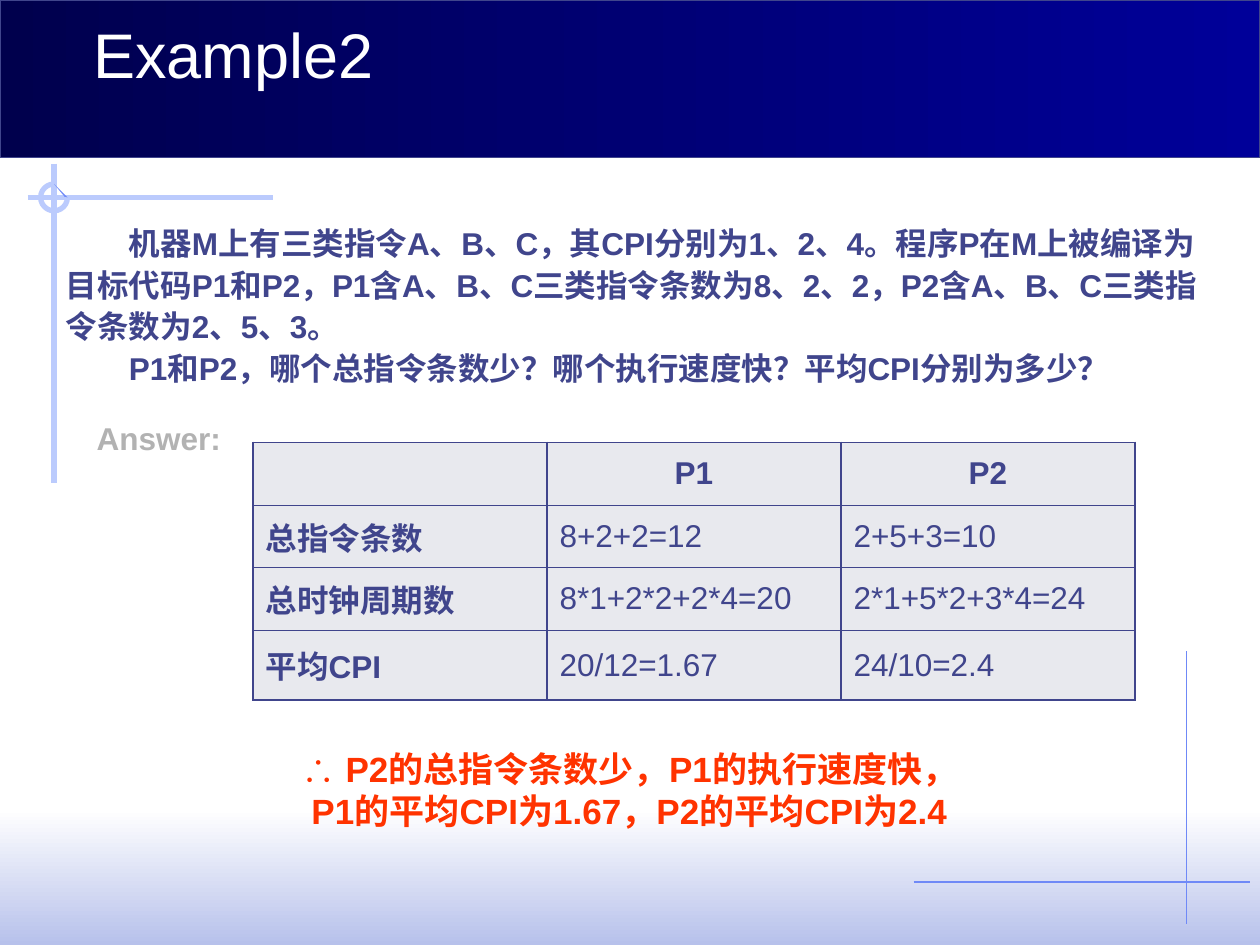
from lxml import etree
from pptx import Presentation
from pptx.dml.color import RGBColor
from pptx.enum.shapes import MSO_CONNECTOR, MSO_SHAPE
from pptx.enum.text import MSO_ANCHOR, PP_ALIGN
from pptx.oxml.ns import qn
from pptx.util import Cm, Pt

LEFT, CENTER = PP_ALIGN.LEFT, PP_ALIGN.CENTER
MIDDLE = MSO_ANCHOR.MIDDLE
STRAIGHT = MSO_CONNECTOR.STRAIGHT
RECTANGLE, ARC = MSO_SHAPE.RECTANGLE, MSO_SHAPE.ARC

SLIDE_W, SLIDE_H = 25.4, 19.05
NAVY, PALE_BLUE, BLUE = "40458C", "BBCBFD", "6F89F7"
WHITE, GREY, RED, CELL_GREY = "FFFFFF", "B2B2B2", "FF3300", "E8E9EE"

QUESTION = [
    "机器M上有三类指令A、B、C，其CPI分别为1、2、4。程序P在M上被编译为目标代码P1和P2，"
    "P1含A、B、C三类指令条数为8、2、2，P2含A、B、C三类指令条数为2、5、3。",
    "P1和P2，哪个总指令条数少？哪个执行速度快？平均CPI分别为多少？",
]
CONCLUSION = ["∴ P2的总指令条数少，P1的执行速度快，\vP1的平均CPI为1.67，P2的平均CPI为2.4"]
COMPARISON = [
    ["", "P1", "P2"],
    ["总指令条数", "8+2+2=12", "2+5+3=10"],
    ["总时钟周期数", "8*1+2*2+2*4=20", "2*1+5*2+3*4=24"],
    ["平均CPI", "20/12=1.67", "24/10=2.4"],
]
ROW_HEIGHTS = [1.27, 1.25, 1.27, 1.4]


def rgb(color):
    return RGBColor.from_string(color)


def write(frame, paragraphs, size=18, color=NAVY, bold=True, align=LEFT,
          indent=0, spacing=None):
    """Fill a text frame; a vertical tab in a paragraph breaks the line."""
    frame.word_wrap = True
    for i, text in enumerate(paragraphs):
        paragraph = frame.paragraphs[0] if i == 0 else frame.add_paragraph()
        paragraph.text = text
        paragraph.alignment = align
        paragraph.line_spacing = spacing
        if indent:
            paragraph._p.get_or_add_pPr().set("indent", str(Cm(indent)))
        for run in paragraph.runs:
            run.font.name = "Arial"
            run.font.size = Pt(size)
            run.font.bold = bold
            run.font.color.rgb = rgb(color)


def add_text(slide, left, top, width, height, paragraphs, **text_format):
    box = slide.shapes.add_textbox(Cm(left), Cm(top), Cm(width), Cm(height))
    write(box.text_frame, paragraphs, **text_format)
    return box.text_frame


def gradient(fill, colors, angle):
    fill.gradient()
    fill.gradient_angle = angle
    for stop, color in zip(fill.gradient_stops, colors):
        stop.color.rgb = rgb(color)


def add_band(slide, left, top, width, height, colors, angle, outline=None):
    band = slide.shapes.add_shape(RECTANGLE, Cm(left), Cm(top), Cm(width), Cm(height))
    band.shadow.inherit = False
    gradient(band.fill, colors, angle)
    if outline:
        band.line.color.rgb = rgb(outline)
        band.line.width = Pt(0.75)
    else:
        band.line.fill.background()


def add_cross(slide, left, top, width, height, across, down, color, weight):
    """Two lines spanning the box, meeting at (across, down) inside it."""
    x, y = left + across, top + down
    for ends in ((left, y, left + width, y), (x, top, x, top + height)):
        line = slide.shapes.add_connector(STRAIGHT, *map(Cm, ends))
        line.line.color.rgb = rgb(color)
        line.line.width = Pt(weight)
        etree.SubElement(line._element.spPr, qn("a:effectLst"))


def add_ring(slide, left, top, diameter):
    """Three-quarter ring with a thin wedge on its open side."""
    radius = diameter / 2
    builder = slide.shapes.build_freeform(Cm(left + radius), Cm(top), scale=1.0)
    builder.add_line_segments([
        (Cm(left + diameter), Cm(top + radius)),
        (Cm(left + diameter + 0.02), Cm(top + radius + 0.08)),
    ])
    wedge = builder.convert_to_shape()
    wedge.shadow.inherit = False
    wedge.fill.solid()
    wedge.fill.fore_color.rgb = rgb(BLUE)
    wedge.line.fill.background()

    ring = slide.shapes.add_shape(ARC, Cm(left), Cm(top), Cm(diameter), Cm(diameter))
    ring.shadow.inherit = False
    # Angles count in 60000ths of a degree, adjustments in 100000ths
    ring.adjustments[0], ring.adjustments[1] = 0, 270 * 0.6
    ring.fill.background()
    ring.line.color.rgb = rgb(PALE_BLUE)
    ring.line.width = Pt(3)


def add_borders(cell, color, weight):
    properties = cell._tc.get_or_add_tcPr()
    for i, side in enumerate(("lnL", "lnR", "lnT", "lnB")):
        border = etree.Element(qn(f"a:{side}"), w=str(Pt(weight)))
        fill = etree.SubElement(border, qn("a:solidFill"))
        etree.SubElement(fill, qn("a:srgbClr"), val=color)
        properties.insert(i, border)


def add_comparison(slide, left, top, width, height):
    table = slide.shapes.add_table(len(COMPARISON), len(COMPARISON[0]), Cm(left),
                                   Cm(top), Cm(width), Cm(height)).table
    table.first_row = table.horz_banding = False
    for r, values in enumerate(COMPARISON):
        table.rows[r].height = Cm(ROW_HEIGHTS[r])
        for c, value in enumerate(values):
            cell = table.cell(r, c)
            cell.vertical_anchor = MIDDLE
            cell.fill.solid()
            cell.fill.fore_color.rgb = rgb(CELL_GREY)
            add_borders(cell, NAVY, 1)
            write(cell.text_frame, [value], bold=r == 0 or c == 0,
                  align=CENTER if r == 0 else LEFT)


def add_backdrop(slide, width, height):
    footer, header = 2.74, 3.18
    add_band(slide, 0, height - footer, width, footer, (WHITE, "B7C1EB"), 270)
    add_cross(slide, 0.56, 3.3, 4.95, 6.43, 0.53, 0.68, PALE_BLUE, 3)
    add_ring(slide, 0.82, 3.71, 0.54)
    add_band(slide, 0, 0, width, header, ("00004D", "000099"), 0, outline=NAVY)
    add_cross(slide, 18.42, 13.13, 6.78, 5.49, 5.5, 4.65, BLUE, 0.75)


def add_title(slide, left, top, width, height):
    frame = add_text(slide, left, top, width, height, ["Example2"],
                     size=36, color=WHITE, bold=False)
    frame.margin_left = frame.margin_right = Cm(0.18)
    frame.margin_top = frame.margin_bottom = Cm(0.08)


def main():
    deck = Presentation()
    deck.slide_width, deck.slide_height = Cm(SLIDE_W), Cm(SLIDE_H)
    slide = deck.slides.add_slide(deck.slide_layouts[6])
    add_backdrop(slide, SLIDE_W, SLIDE_H)
    add_title(slide, 1.7, 0.23, 8.03, 1.68)
    add_text(slide, 1.08, 4.32, 23.77, 3.63, QUESTION, indent=1.27, spacing=1.1)
    add_text(slide, 1.7, 8.33, 21.29, 1.02, ["Answer:"], color=GREY)
    add_comparison(slide, 5.1, 8.92, 17.78, sum(ROW_HEIGHTS))
    add_text(slide, 2.87, 14.94, 19.63, 1.96, CONCLUSION,
             size=20, color=RED, align=CENTER)
    deck.save("out.pptx")


if __name__ == "__main__":
    main()
